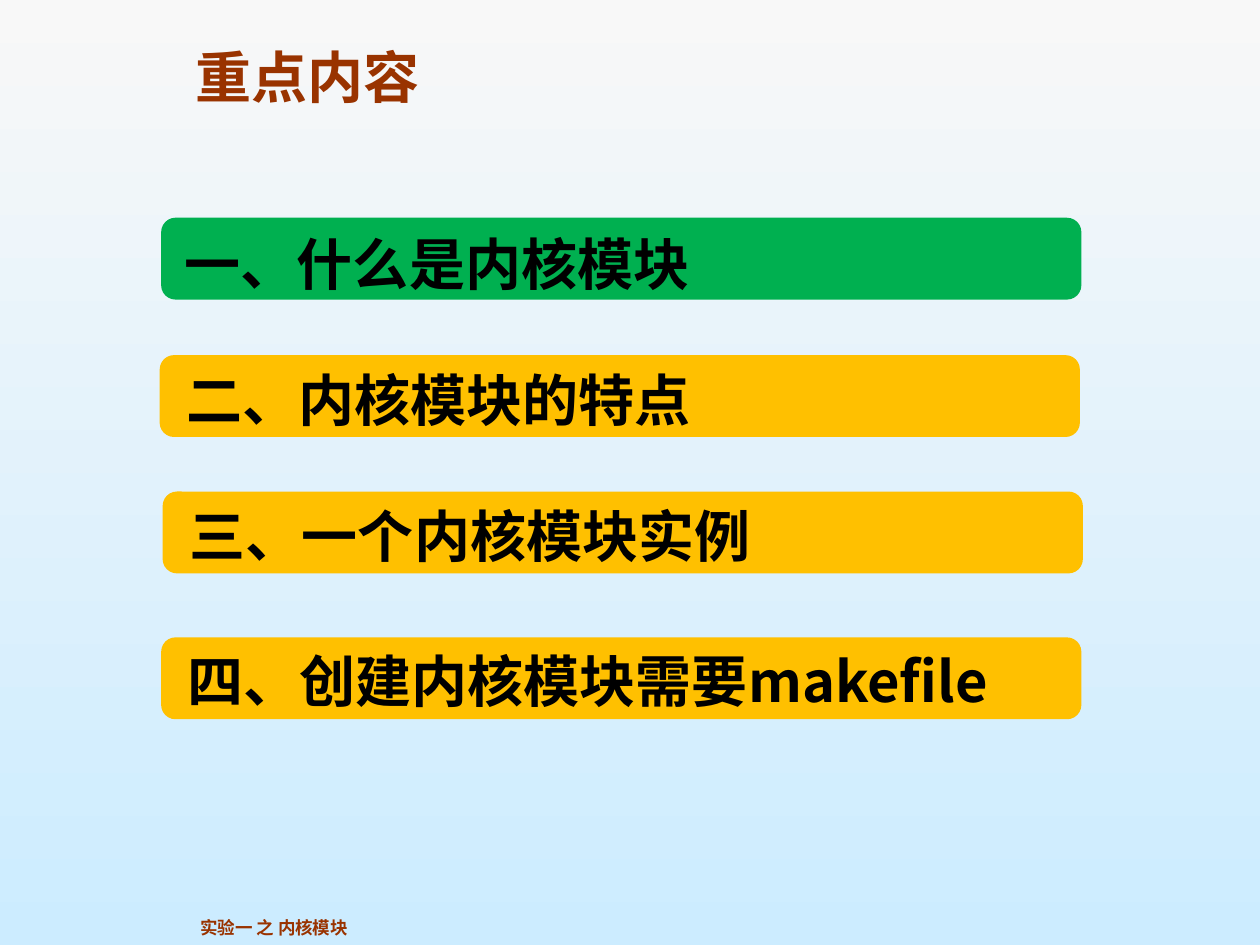
"""Build the agenda slide on kernel modules with its four topic bars."""
from pptx import Presentation
from pptx.dml.color import RGBColor
from pptx.enum.shapes import MSO_SHAPE
from pptx.enum.text import MSO_ANCHOR, PP_ALIGN
from pptx.oxml.ns import qn
from pptx.util import Cm, Pt
from lxml.etree import SubElement

BROWN = RGBColor(0x99, 0x33, 0x00)
BLACK = RGBColor(0x00, 0x00, 0x00)
GREEN = RGBColor(0x00, 0xB0, 0x50)
AMBER = RGBColor(0xFF, 0xC0, 0x00)
PALE_GREY = RGBColor(0xF8, 0xF8, 0xF8)
PALE_BLUE = RGBColor(0xCC, 0xEC, 0xFF)
CJK_FONT = "Noto Sans CJK SC"


def write(frame, text, size, color, font, align=PP_ALIGN.LEFT):
    frame.text = text
    paragraph = frame.paragraphs[0]
    paragraph.alignment = align
    run = paragraph.runs[0]
    run.font.name = font
    run.font.size = Pt(size)
    run.font.bold = True
    run.font.color.rgb = color
    SubElement(run.font._element, qn("a:ea"), typeface=CJK_FONT)


deck = Presentation()
deck.slide_width, deck.slide_height = Cm(25.4), Cm(19.05)
slide = deck.slides.add_slide(deck.slide_layouts[5])

backdrop = slide.background.fill
backdrop.gradient()
backdrop.gradient_angle = 270
for stop, position, color in zip(backdrop.gradient_stops, (0, 1), (PALE_GREY, PALE_BLUE)):
    stop.position = position
    stop.color.rgb = color

heading = slide.shapes.title
heading.left, heading.top, heading.width, heading.height = Cm(3.68), Cm(0.64), Cm(20.65), Cm(1.7)
heading.text_frame.vertical_anchor = MSO_ANCHOR.BOTTOM
write(heading.text_frame, "重点内容", 32, BROWN, "Arial")

footer = slide.shapes.add_textbox(Cm(3.78), Cm(18.36), Cm(3.48), Cm(0.69))
footer.text_frame.word_wrap = False
write(footer.text_frame, "实验一 之 内核模块", 10, BROWN, "Arial", PP_ALIGN.RIGHT)

topics = [
    ("一、什么是内核模块", GREEN, 3.25, 4.39, 3.48, 4.5),
    ("二、内核模块的特点", AMBER, 3.22, 7.16, 3.51, 7.24),
    ("三、一个内核模块实例", AMBER, 3.28, 9.91, 3.58, 9.98),
    ("四、创建内核模块需要makefile", AMBER, 3.25, 12.85, 3.53, 12.9),
]
for topic, color, bar_left, bar_top, label_left, label_top in topics:
    bar = slide.shapes.add_shape(
        MSO_SHAPE.ROUNDED_RECTANGLE, Cm(bar_left), Cm(bar_top), Cm(18.55), Cm(1.65))
    bar.adjustments[0] = 0.175
    bar.shadow.inherit = False
    bar.fill.solid()
    bar.fill.fore_color.rgb = color
    bar.line.fill.background()

    label = slide.shapes.add_textbox(Cm(label_left), Cm(label_top), Cm(17.9), Cm(1.63))
    label.text_frame.word_wrap = True
    write(label.text_frame, topic, 32, BLACK, CJK_FONT)

deck.save("out.pptx")
